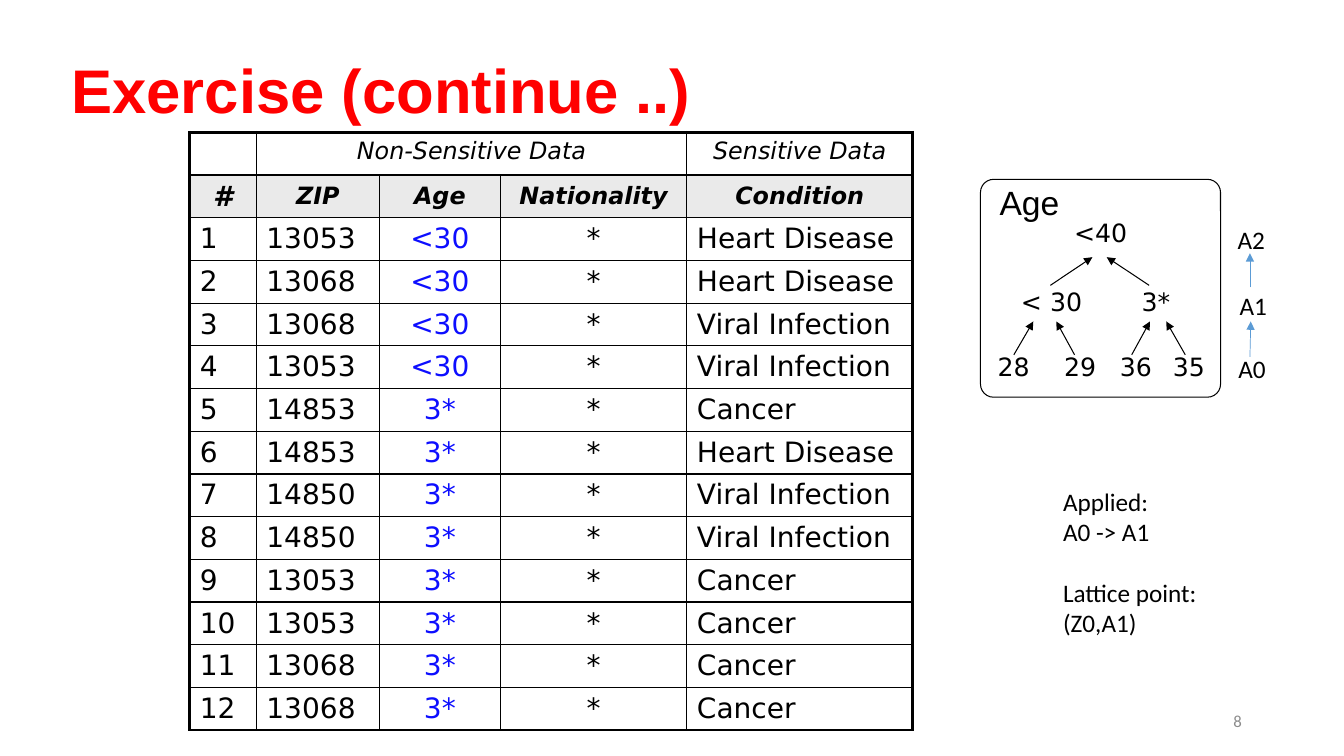
"""Build the exercise slide with the generalised patient table and the age hierarchy."""
from lxml.etree import SubElement
from pptx import Presentation
from pptx.dml.color import RGBColor
from pptx.enum.shapes import MSO_CONNECTOR, MSO_SHAPE
from pptx.enum.text import MSO_ANCHOR, MSO_AUTO_SIZE, PP_ALIGN
from pptx.oxml import parse_xml
from pptx.oxml.ns import nsdecls, qn
from pptx.util import Cm, Pt

COLORS = {
    "title": "FF0000",
    "text": "000000",
    "age": "0D0EFF",
    "header": "EAEAEA",
    "number": "8C8C8C",
    "level": "5B9BD5",
}

presentation = Presentation()
presentation.slide_width = Cm(33.87)
presentation.slide_height = Cm(19.05)
slide = presentation.slides.add_slide(presentation.slide_layouts[6])


def add_text(text, left, top, width, height, size, font, color="text", wrap=False):
    shape = slide.shapes.add_textbox(Cm(left), Cm(top), Cm(width), Cm(height))
    text_frame = shape.text_frame
    text_frame.text = text
    text_frame.word_wrap = wrap
    text_frame.auto_size = MSO_AUTO_SIZE.NONE if wrap else MSO_AUTO_SIZE.SHAPE_TO_FIT_TEXT
    for paragraph in text_frame.paragraphs:
        for run in paragraph.runs:
            run.font.size = Pt(size)
            run.font.name = font
            run.font.color.rgb = RGBColor.from_string(COLORS[color])
    return text_frame


def add_arrow(start, end, color, width):
    arrow = slide.shapes.add_connector(
        MSO_CONNECTOR.STRAIGHT, *[Cm(value) for value in start + end]
    )
    arrow.line.color.rgb = RGBColor.from_string(COLORS[color])
    arrow.line.width = Pt(width)
    SubElement(arrow.line._get_or_add_ln(), qn("a:tailEnd"), type="triangle")
    SubElement(arrow._element.spPr, qn("a:effectLst"))


title = add_text("Exercise (continue ..)", 1.55, 0.51, 29.21, 3.68, 44, "Arial", "title", True)
title.vertical_anchor = MSO_ANCHOR.MIDDLE
title.paragraphs[0].line_spacing = 0.9
title.paragraphs[0].runs[0].font.bold = True

patients = [
    ("13053", "<30", "Heart Disease"),
    ("13068", "<30", "Heart Disease"),
    ("13068", "<30", "Viral Infection"),
    ("13053", "<30", "Viral Infection"),
    ("14853", "3*", "Cancer"),
    ("14853", "3*", "Heart Disease"),
    ("14850", "3*", "Viral Infection"),
    ("14850", "3*", "Viral Infection"),
    ("13053", "3*", "Cancer"),
    ("13053", "3*", "Cancer"),
    ("13068", "3*", "Cancer"),
    ("13068", "3*", "Cancer"),
]
rows = [
    ("", "Non-Sensitive Data", "", "", "Sensitive Data"),
    ("#", "ZIP", "Age", "Nationality", "Condition"),
]
for number, (zip_code, age, condition) in enumerate(patients, 1):
    rows.append((str(number), zip_code, age, "*", condition))

column_widths = [1.68, 3.1, 3.05, 4.7, 5.69]
row_heights = [1.08] + [1.07] * (len(rows) - 1)
last_row, last_column = len(rows) - 1, len(column_widths) - 1
table = slide.shapes.add_table(
    len(rows), len(column_widths), Cm(4.78), Cm(3.33),
    Cm(sum(column_widths)), Cm(sum(row_heights)),
).table
table.first_row = False
table.horz_banding = False
for column, width in zip(table.columns, column_widths):
    column.width = Cm(width)
for row, height in zip(table.rows, row_heights):
    row.height = Cm(height)
table.cell(0, 1).merge(table.cell(0, 3))

for row_index, values in enumerate(rows):
    for column_index, value in enumerate(values):
        cell = table.cell(row_index, column_index)
        is_header = row_index < 2
        if row_index == 1:
            cell.fill.solid()
            cell.fill.fore_color.rgb = RGBColor.from_string(COLORS["header"])
            cell.vertical_anchor = MSO_ANCHOR.MIDDLE
        else:
            cell.fill.background()
        outer_edges = {
            "lnL": column_index == 0,
            "lnR": column_index == last_column,
            "lnT": row_index == 0,
            "lnB": row_index == last_row,
        }
        for position, (edge, is_outer) in enumerate(outer_edges.items()):
            border = parse_xml(
                f'<a:{edge} {nsdecls("a")} w="{Pt(2.25 if is_outer else 1)}"><a:solidFill>'
                f'<a:srgbClr val="{COLORS["text"]}"/></a:solidFill></a:{edge}>'
            )
            cell._tc.get_or_add_tcPr().insert(position, border)
        if not value:
            continue
        cell.text_frame.text = value
        paragraph = cell.text_frame.paragraphs[0]
        if is_header or column_index in (2, 3):
            paragraph.alignment = PP_ALIGN.CENTER
        font = paragraph.runs[0].font
        font.name = "DejaVu Sans"
        font.size = Pt(17 if is_header and value != "#" else 20)
        font.bold = row_index == 1
        font.italic = is_header
        color = "age" if column_index == 2 and not is_header else "text"
        font.color.rgb = RGBColor.from_string(COLORS[color])

page_number = add_text("8", 23.93, 17.65, 7.62, 1.02, 12, "Calibri", "number", True)
page_number.vertical_anchor = MSO_ANCHOR.MIDDLE
page_number.paragraphs[0].alignment = PP_ALIGN.RIGHT

applied = add_text(
    "Applied:\nA0 -> A1\nLattice point:\n(Z0,A1)",
    26.54, 12.12, 4.22, 4.11, 18, "Calibri", wrap=True,
)
applied.paragraphs[2].space_before = Pt(22)

age_panel = slide.shapes.add_shape(
    MSO_SHAPE.ROUNDED_RECTANGLE, Cm(24.71), Cm(4.52), Cm(6.05), Cm(5.49)
)
age_panel.adjustments[0] = 0.06
age_panel.shadow.inherit = False
age_panel.fill.background()
age_panel.line.color.rgb = RGBColor.from_string(COLORS["text"])
age_panel.line.width = Pt(0.75)
add_text("Age", 24.94, 4.47, 2.03, 1.27, 24, "Arial")

age_nodes = [
    ("<40", 26.82, 5.36, 1.88),
    ("< 30", 25.48, 7.09, 2.08),
    ("3*", 28.52, 7.09, 1.32),
    ("28", 24.89, 8.74, 1.32),
    ("29", 26.57, 8.74, 1.32),
    ("36", 27.97, 8.74, 1.32),
    ("35", 29.31, 8.74, 1.32),
]
for label, left, top, width in age_nodes:
    add_text(label, left, top, width, 1.02, 18, "DejaVu Sans")

for start_x, end_x in [(25.55, 26.04), (27.08, 26.62), (28.52, 28.98), (29.87, 29.39)]:
    add_arrow((start_x, 8.94), (end_x, 8.1), "text", 0.75)
for start_x, end_x in [(26.47, 27.53), (28.96, 27.89)]:
    add_arrow((start_x, 7.19), (end_x, 6.48), "text", 0.75)

for label, left, top in [("A0", 30.96, 8.79), ("A1", 30.99, 7.19), ("A2", 30.94, 5.54)]:
    add_text(label, left, top, 1.22, 1.02, 18, "Calibri")
add_arrow((31.5, 8.99), (31.52, 8.1), "level", 0.5)
add_arrow((31.5, 7.24), (31.5, 6.38), "level", 0.5)

presentation.save("out.pptx")
